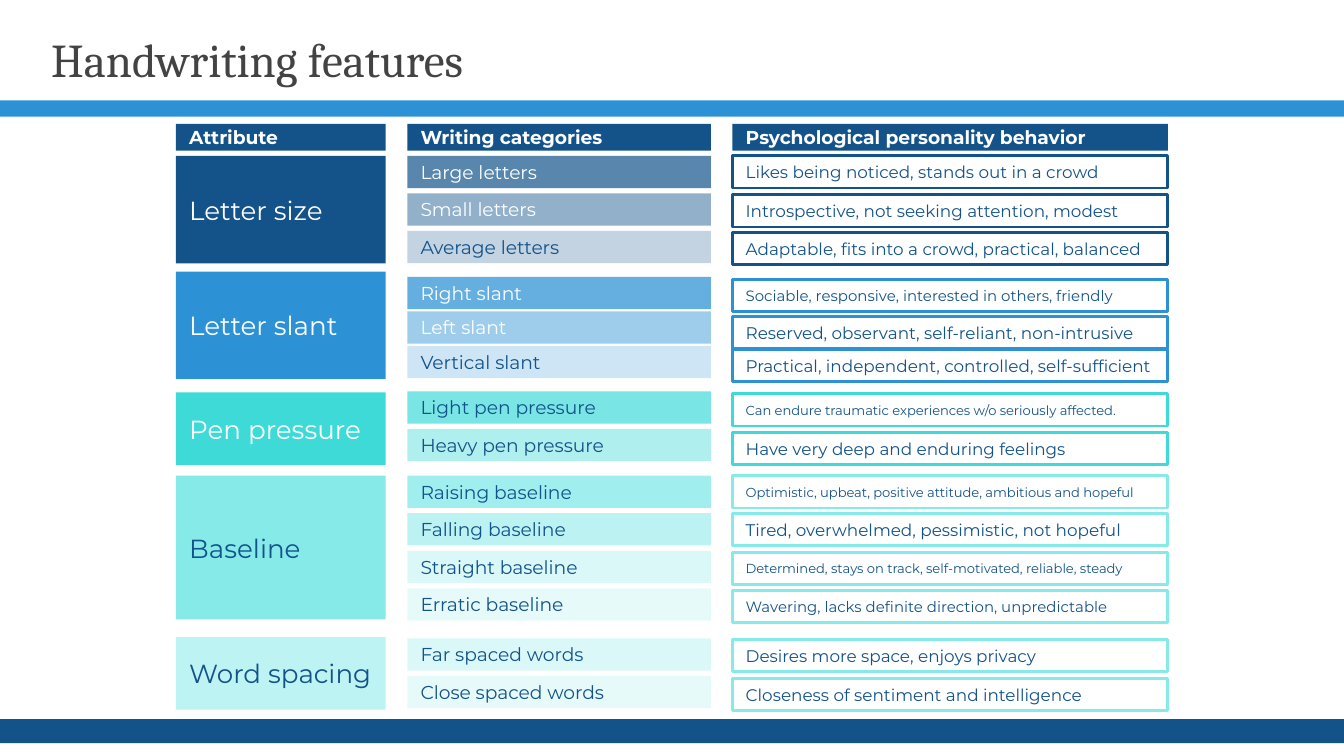
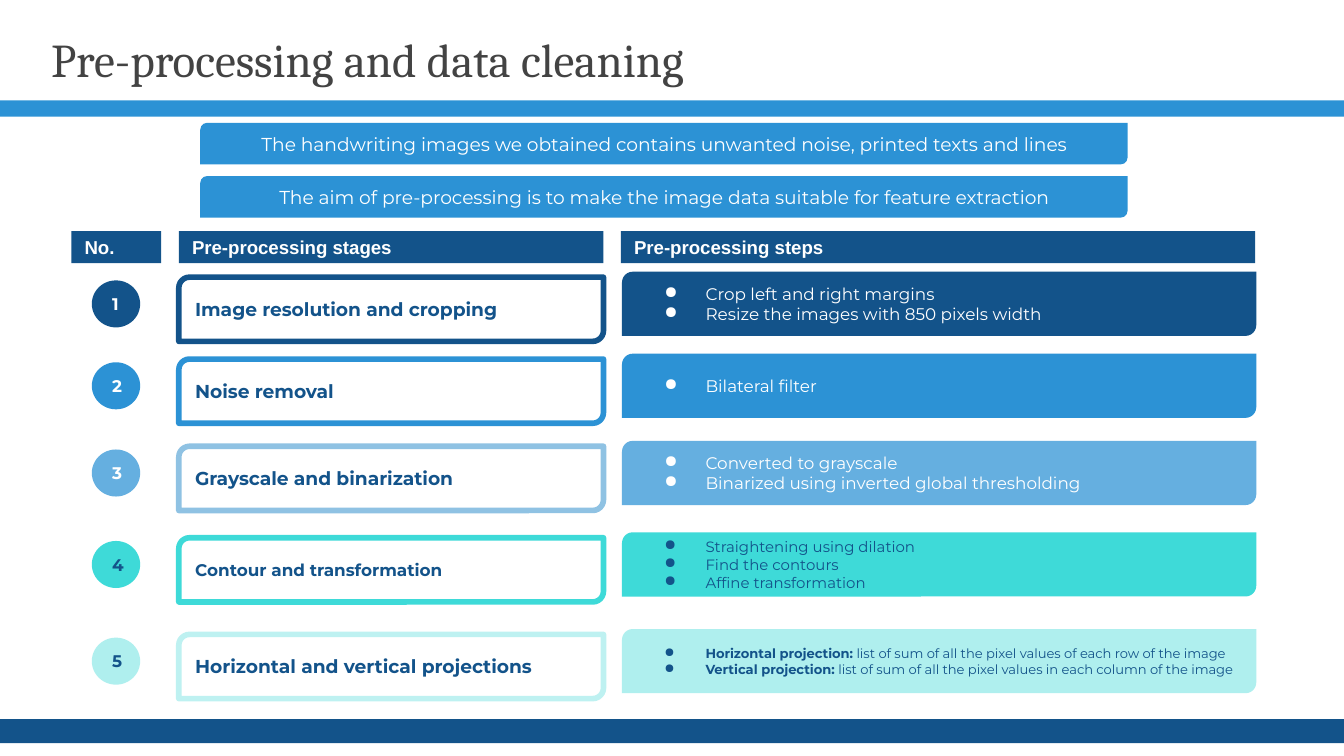
from lxml.etree import SubElement
from pptx import Presentation
from pptx.dml.color import RGBColor
from pptx.enum.shapes import MSO_SHAPE as Shape
from pptx.enum.text import MSO_ANCHOR as Anchor, PP_ALIGN as Align
from pptx.oxml.ns import qn
from pptx.util import Pt

COLORS = {
    "navy": "13538A", "blue": "2C92D5", "teal": "3EDAD8", "aqua": "86EAE9",
    "sky": "8FC2E3", "ice": "BEF1F1", "white": "FFFFFF", "title": "434343",
}
BODY, HEADING, PLAIN = "Montserrat", "Cambria", "Arial"
INSET = 7.2

FEATURE_COLUMNS = [
    ("Attribute", 94.3, 112.3),
    ("Writing categories", 218.2, 162.7),
    ("Psychological personality behavior", 392.4, 233.3),
]
ROW_HEIGHT = 17.3
FEATURES = [
    ("Letter size", "navy", 100, "white", 83.5, 57.6, 83.5, 20.1, [
        ("Large letters", 70, "white", "Likes being noticed, stands out in a crowd", 9, 83.5),
        ("Small letters", 46, "white", "Introspective, not seeking attention, modest", 9, 104.4),
        ("Average letters", 25, "navy", "Adaptable, fits into a crowd, practical, balanced", 9, 124.6),
    ]),
    ("Letter slant", "blue", 100, "white", 145.5, 57.6, 148.3, 18.5, [
        ("Right slant", 73, "white", "Sociable, responsive, interested in others, friendly", 8, 149.8),
        ("Left slant", 46, "white", "Reserved, observant, self-reliant, non-intrusive", 9, 169.4),
        ("Vertical slant", 23, "navy", "Practical, independent, controlled, self-sufficient", 9, 187.2),
    ]),
    ("Pen pressure", "teal", 100, "white", 210.2, 38.9, 209.7, 20.1, [
        ("Light pen pressure", 69, "navy", "Can endure traumatic experiences w/o seriously affected.", 7, 211),
        ("Heavy pen pressure", 41, "navy", "Have very deep and enduring feelings", 9, 231.8),
    ]),
    ("Baseline", "aqua", 100, "navy", 254.9, 77, 254.9, 20.1, [
        ("Raising baseline", 77, "navy", "Optimistic, upbeat, positive attitude, ambitious and hopeful", 7, 254.9),
        ("Falling baseline", 55, "navy", "Tired, overwhelmed, pessimistic, not hopeful", 9, 275.2),
        ("Straight baseline", 29, "navy", "Determined, stays on track, self-motivated, reliable, steady", 7, 295.9),
        ("Erratic baseline", 20, "navy", "Wavering, lacks definite direction, unpredictable", 8, 316.2),
    ]),
    ("Word spacing", "aqua", 54, "navy", 341.3, 38.9, 342, 20.1, [
        ("Far spaced words", 29, "navy", "Desires more space, enjoys privacy", 9, 342.7),
        ("Close spaced words", 20, "navy", "Closeness of sentiment and intelligence", 9, 363.6),
    ]),
]

BANNERS = [
    "The handwriting images we obtained contains unwanted noise, printed texts and lines",
    "The aim of pre-processing is to make the image data suitable for feature extraction",
]
STAGE_COLUMNS = [
    ("No.", 38.2, 48.2),
    ("Pre-processing stages", 95.8, 227.5),
    ("Pre-processing steps", 332.6, 339.8),
]
STAGES = [
    (145.6, "navy", 100, "navy", "white", "Image resolution and cropping", 10, 9,
     ["Crop left and right margins", "Resize the images with 850 pixels width"]),
    (189.5, "blue", 100, "blue", "white", "Noise removal", 10, 9, ["Bilateral filter"]),
    (236.2, "blue", 73, "sky", "white", "Grayscale and binarization", 10, 9,
     ["Converted to grayscale", "Binarized using inverted global thresholding"]),
    (285.2, "teal", 100, "teal", "navy", "Contour and transformation", 9, 8,
     ["Straightening using dilation", "Find the contours", "Affine transformation"]),
    (337, "teal", 41, "ice", "navy", "Horizontal and vertical projections", 10, 7,
     [[("Horizontal projection:", True),
       (" list of sum of all the pixel values of each row of the image", False)],
      [("Vertical projection: ", True),
       ("list of sum of all the pixel values in each column of the image", False)]]),
]


def rgb(name):
    return RGBColor.from_string(COLORS[name])


class Slides:
    """Holds the deck style and draws elements on the current page."""

    def __init__(self):
        self.deck = Presentation()
        self.deck.slide_width, self.deck.slide_height = Pt(720), Pt(405)
        self.page = None

    def start(self, title):
        self.page = self.deck.slides.add_slide(self.deck.slide_layouts[5])
        self.block((0, 385.2, 720, 13), fill="navy")
        self.block((0, 53.8, 720, 8.7), fill="blue")
        box = self.page.shapes.title
        box.left, box.top, box.width, box.height = map(Pt, (20.2, 8.6, 671, 45.4))
        self.put_text(box, [title], 25.2, "title", font=HEADING)

    def put_text(self, box, lines, size, ink, bold=False, font=BODY,
                 align=Align.LEFT, bullets=False):
        frame = box.text_frame
        frame.word_wrap = True
        frame.vertical_anchor = Anchor.MIDDLE
        frame.margin_left = frame.margin_right = Pt(INSET)
        frame.margin_top = frame.margin_bottom = Pt(INSET)
        for index, line in enumerate(lines):
            para = frame.add_paragraph() if index else frame.paragraphs[0]
            para.alignment = align
            if bullets:
                self.bullet(para, ink)
            for text, strong in [(line, bold)] if isinstance(line, str) else line:
                span = para.add_run()
                span.text = text
                span.font.name, span.font.size = font, Pt(size)
                span.font.bold = strong
                span.font.color.rgb = rgb(ink)

    def bullet(self, para, ink):
        props = para._p.get_or_add_pPr()
        props.set("marL", str(Pt(36)))
        props.set("indent", str(Pt(-22)))
        color = SubElement(props, qn("a:buClr"))
        SubElement(color, qn("a:srgbClr"), val=COLORS[ink])
        SubElement(props, qn("a:buChar"), char="●")

    def block(self, at, lines=(), size=10, ink="white", fill=None, opacity=100,
              line=None, weight=1.5, preset=Shape.RECTANGLE, **style):
        box = self.page.shapes.add_shape(preset, *map(Pt, at))
        box.shadow.inherit = False
        if fill:
            box.fill.solid()
            box.fill.fore_color.rgb = rgb(fill)
            if opacity < 100:
                color = box.element.spPr.find(".//" + qn("a:srgbClr"))
                SubElement(color, qn("a:alpha"), val=str(opacity * 1000))
        else:
            box.fill.background()
        if line:
            box.line.color.rgb = rgb(line)
            box.line.width = Pt(weight)
        else:
            box.line.fill.background()
        self.put_text(box, lines, size, ink, **style)

    def headers(self, columns, top, height, font):
        for label, left, width in columns:
            self.block((left, top, width, height), [label], fill="navy", bold=True, font=font)


def draw_features(slides):
    slides.start("Handwriting features")
    slides.headers(FEATURE_COLUMNS, 66.4, 14.4, BODY)
    (_, name_x, name_w), (_, kind_x, kind_w), (_, trait_x, trait_w) = FEATURE_COLUMNS
    for name, color, opacity, ink, top, height, first, pitch, rows in FEATURES:
        slides.block((name_x, top, name_w, height), [name], 14, ink, color, opacity)
        for index, (kind, tint, kind_ink, trait, size, trait_top) in enumerate(rows):
            slides.block((kind_x, first + index * pitch, kind_w, ROW_HEIGHT),
                         [kind], 10, kind_ink, color, tint)
            slides.block((trait_x, trait_top, trait_w, ROW_HEIGHT),
                         [trait], size, "navy", line=color)


def draw_stages(slides):
    slides.start("Pre-processing and data cleaning")
    rounded = Shape.ROUND_2_DIAG_RECTANGLE
    for index, text in enumerate(BANNERS):
        slides.block((107.3, 65.8 + index * 28.5, 496.8, 22.3), [text], fill="blue",
                     preset=rounded, align=Align.CENTER)
    slides.headers(STAGE_COLUMNS, 123.8, ROW_HEIGHT, PLAIN)
    _, (_, stage_x, stage_w), (_, step_x, step_w) = STAGE_COLUMNS
    for number, stage_row in enumerate(STAGES, 1):
        top, color, opacity, outline, ink, stage, stage_size, step_size, steps = stage_row
        slides.block((49.2, top + 4.6, 25.9, 25.2), [str(number)], 9, ink, color, opacity,
                     preset=Shape.OVAL, bold=True)
        slides.block((stage_x, top + 2.9, stage_w, 34.4), [stage], stage_size, "navy",
                     line=outline, weight=3, preset=rounded, bold=True)
        slides.block((step_x + 0.6, top, step_w, 34.4), steps, step_size, ink, color, opacity,
                     preset=rounded, bullets=True)


def main():
    slides = Slides()
    draw_features(slides)
    draw_stages(slides)
    slides.deck.save("out.pptx")


if __name__ == "__main__":
    main()
